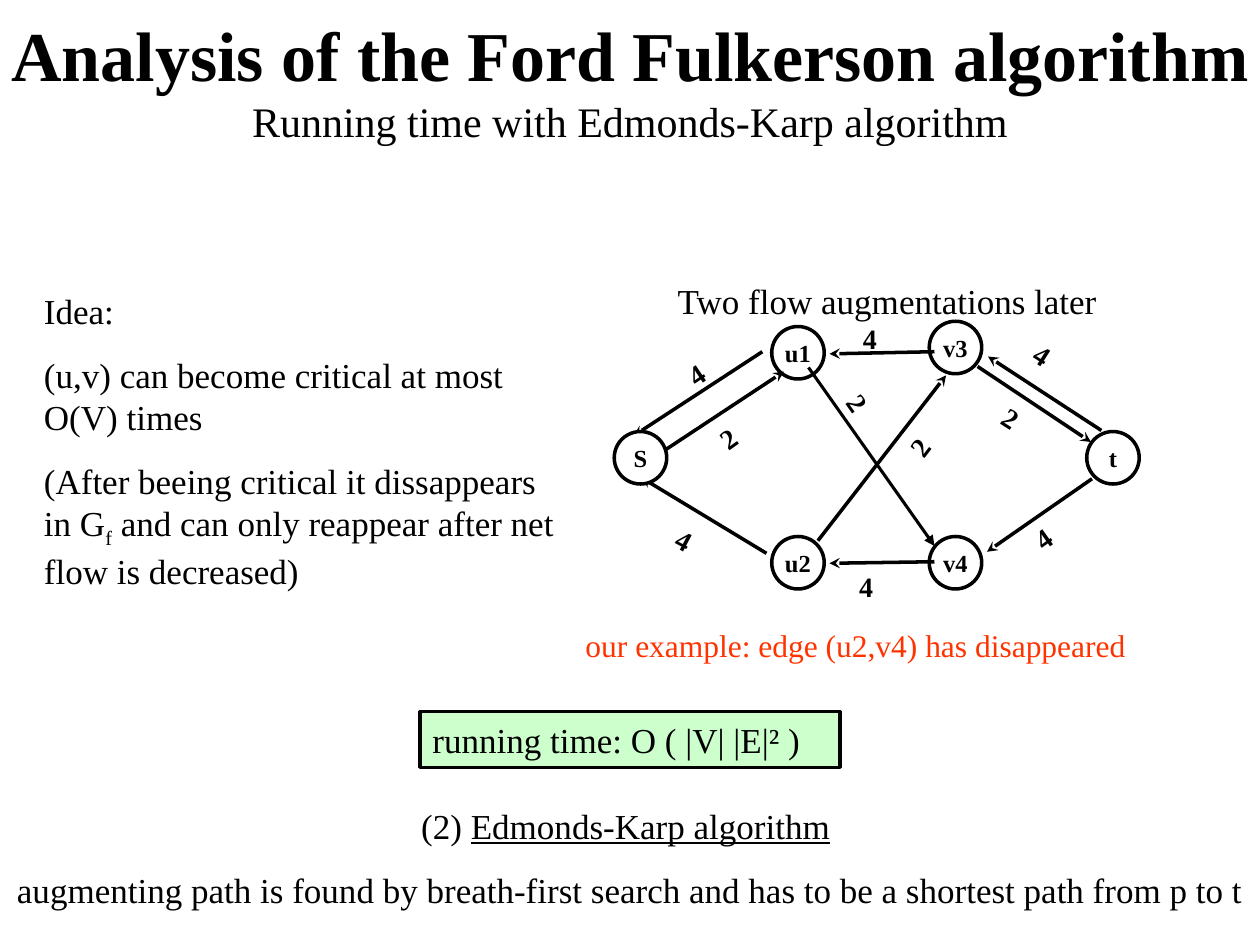
from lxml import etree
from pptx import Presentation
from pptx.dml.color import RGBColor
from pptx.enum.shapes import MSO_CONNECTOR, MSO_SHAPE
from pptx.enum.text import MSO_ANCHOR, PP_ALIGN
from pptx.oxml.ns import qn
from pptx.util import Inches, Pt

STRAIGHT = MSO_CONNECTOR.STRAIGHT
ELLIPSE, RECTANGLE = MSO_SHAPE.OVAL, MSO_SHAPE.RECTANGLE
TOP, MIDDLE = MSO_ANCHOR.TOP, MSO_ANCHOR.MIDDLE
LEFT, CENTER = PP_ALIGN.LEFT, PP_ALIGN.CENTER

FONT = "Times New Roman"
BLACK, WHITE, RED, GREEN = "000000", "FFFFFF", "FF3300", "CCFFCC"
WIDTH, HEIGHT = Inches(10), Inches(7.5)
CELL = WIDTH / 240  # the slide is a grid of 240 columns and 180 rows

NODE_SIZE, NODE_LEFT, NODE_TOP = 10, 117, 62.2
NODE_STEP_X, NODE_STEP_Y = 30, 20
# name, column, row of the network
NODES = [("t", 3, 1), ("u1", 1, 0), ("u2", 1, 2), ("v3", 2, -0.05), ("v4", 2, 2)]
SOURCE = ("S", 0, 1)
# start column, start row, end column, end row
EDGES = [
    (178, 67, 158, 67.4),
    (178, 107, 158, 107.3),
    (145.2, 67, 120.7, 83),
    (146, 105.4, 122.2, 91),
    (155.8, 103, 180.2, 71.5),
    (209.8, 82, 188.2, 67.9),
    (208, 91.2, 188, 105.1),
    (124.6, 87.1, 149.3, 70.8),
    (186.2, 69.8, 207.8, 84.2),
]
CROSSING_EDGE = (154, 70, 178, 104)
# capacity, left column, top row, rotation
CAPACITIES = [
    ("4", 126, 101, 27.9),
    ("4", 162, 60, 0),
    ("4", 128, 64, 326.2),
    ("4", 194, 95, 324.6),
    ("4", 161.3, 107.3, 0),
    ("4", 194, 66, 32.5),
    ("2", 169.4, 76.6, 307.4),
    ("2", 157.4, 76.6, 55.2),
    ("2", 188, 78, 32.5),
    ("2", 134, 76, 324.4),
]


def color(hex_code):
    return RGBColor.from_string(hex_code)


def cells(*counts):
    """Turn counts of grid cells into slide lengths."""
    return [round(count * CELL) for count in counts]


def add_run(paragraph, text, size, hex_code=BLACK, bold=False, underline=False):
    run = paragraph.add_run()
    run.text = text
    font = run.font
    font.name, font.size = FONT, Pt(size)
    font.bold, font.underline = bold, underline
    font.color.rgb = color(hex_code)
    return run


def add_paragraph(frame, align=LEFT, space_before=0):
    """Use the empty first paragraph, or append another one."""
    first = frame.paragraphs[0]
    paragraph = frame.add_paragraph() if first.runs else first
    paragraph.alignment = align
    paragraph.space_before = Pt(space_before)
    return paragraph


def add_text_box(slide, box, anchor=TOP):
    shape = slide.shapes.add_textbox(*cells(*box))
    shape.text_frame.word_wrap = True
    shape.text_frame.vertical_anchor = anchor
    return shape


def add_line_of_text(slide, box, text, size, hex_code=BLACK):
    frame = add_text_box(slide, box).text_frame
    add_run(add_paragraph(frame, CENTER), text, size, hex_code)


def add_outlined_shape(slide, kind, box, fill, line_width):
    shape = slide.shapes.add_shape(kind, *cells(*box))
    shape.shadow.inherit = False
    shape.fill.solid()
    shape.fill.fore_color.rgb = color(fill)
    shape.line.color.rgb = color(BLACK)
    shape.line.width = Pt(line_width)
    return shape


def add_node(slide, name, column, row):
    box = (NODE_LEFT + column * NODE_STEP_X, NODE_TOP + row * NODE_STEP_Y,
           NODE_SIZE, NODE_SIZE)
    frame = add_outlined_shape(slide, ELLIPSE, box, WHITE, 2).text_frame
    frame.word_wrap = False
    frame.vertical_anchor = MIDDLE
    add_run(add_paragraph(frame, CENTER), name, 14, bold=True)


def add_edge(slide, ends, width=2, head="stealth"):
    edge = slide.shapes.add_connector(STRAIGHT, *cells(*ends))
    edge.line.color.rgb = color(BLACK)
    edge.line.width = Pt(width)
    etree.SubElement(edge.line._get_or_add_ln(), qn("a:tailEnd"), type=head)
    etree.SubElement(edge._element.spPr, qn("a:effectLst"))


def add_capacity(slide, text, left, top, rotation):
    shape = add_text_box(slide, (left, top, 18, 8.9))
    shape.rotation = rotation
    add_run(add_paragraph(shape.text_frame), text, 16, bold=True)


def add_title(slide):
    frame = add_text_box(slide, (-3, 0, 246, 30), MIDDLE).text_frame
    paragraph = add_paragraph(frame, CENTER)
    add_run(paragraph, "Analysis of the Ford Fulkerson algorithm", 40, bold=True)
    paragraph.add_line_break()
    add_run(paragraph, "Running time with Edmonds-Karp algorithm", 24)


def add_idea(slide):
    frame = add_text_box(slide, (6, 54, 102, 60)).text_frame
    for text in ("Idea:", "(u,v) can become critical at most O(V) times",
                 "(After beeing critical it dissappears in G"):
        paragraph = add_paragraph(frame, space_before=12.5)
        add_run(paragraph, text, 20)
    subscript = add_run(paragraph, "f", 20)
    subscript.font._element.set("baseline", "-25000")
    add_run(paragraph, " and can only reappear after net flow is decreased)", 20)


def add_network(slide):
    for node in NODES:
        add_node(slide, *node)
    for edge in EDGES:
        add_edge(slide, edge)
    add_edge(slide, CROSSING_EDGE, 1.75, "triangle")
    add_node(slide, *SOURCE)  # covers the arrowheads that reach it
    for capacity in CAPACITIES:
        add_capacity(slide, *capacity)


def add_running_time(slide):
    box = (80, 135.6, 80, 10.6)
    frame = add_outlined_shape(slide, RECTANGLE, box, GREEN, 1.75).text_frame
    frame.vertical_anchor = TOP
    add_run(add_paragraph(frame), "running time: O ( |V| |E|² )", 20)


def add_summary(slide):
    frame = add_text_box(slide, (-4, 152, 248, 22.6)).text_frame
    heading = add_paragraph(frame, CENTER)
    add_run(heading, "(2) ", 20)
    add_run(heading, "Edmonds-Karp algorithm", 20, underline=True)
    add_run(heading, " ", 20)
    add_run(add_paragraph(frame, CENTER, 12.5),
            "augmenting path is found by breath-first search and has to be "
            "a shortest path from p to t", 20)


def main():
    presentation = Presentation()
    presentation.slide_width, presentation.slide_height = WIDTH, HEIGHT
    slide = presentation.slides.add_slide(presentation.slide_layouts[6])
    add_title(slide)
    add_running_time(slide)
    add_line_of_text(slide, (108, 118, 110, 9.6),
                     "our example: edge (u2,v4) has disappeared", 18, RED)
    add_idea(slide)
    add_network(slide)
    add_line_of_text(slide, (118, 52, 102, 10.6), "Two flow augmentations later", 20)
    add_summary(slide)
    presentation.save("out.pptx")


if __name__ == "__main__":
    main()
